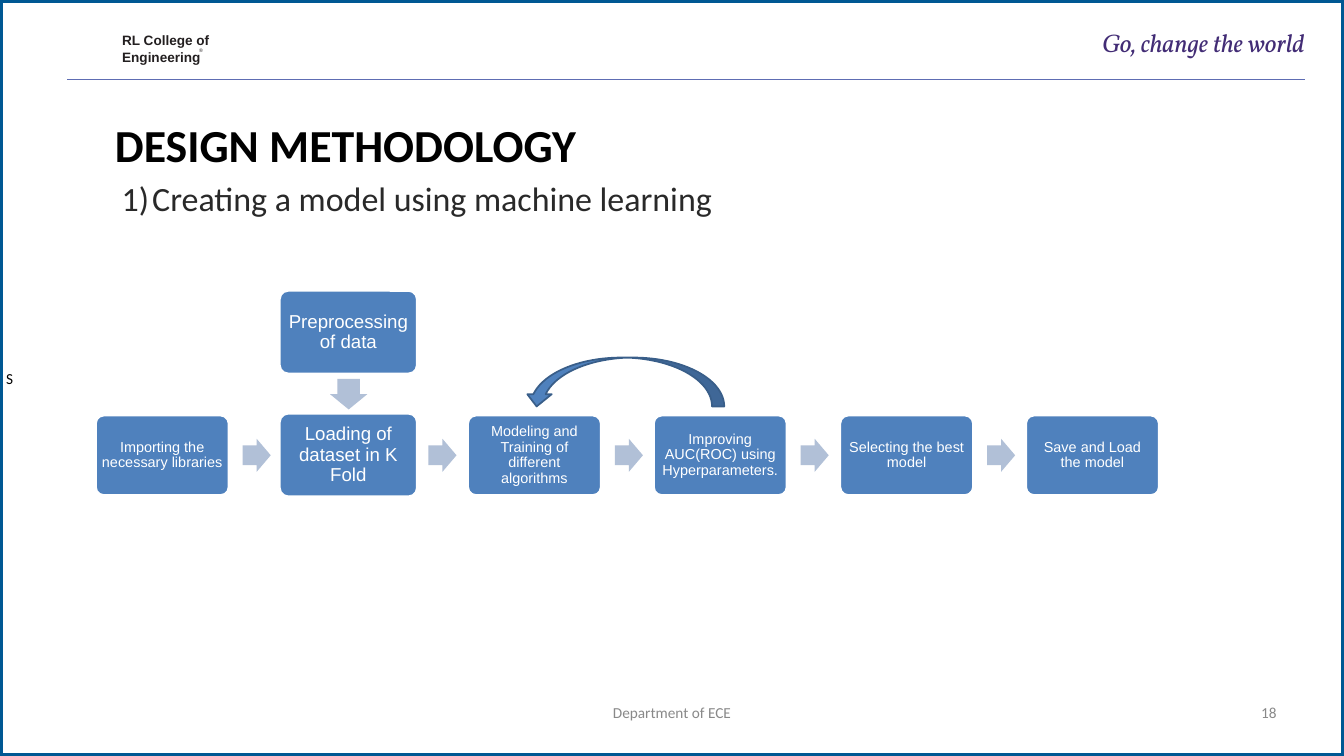
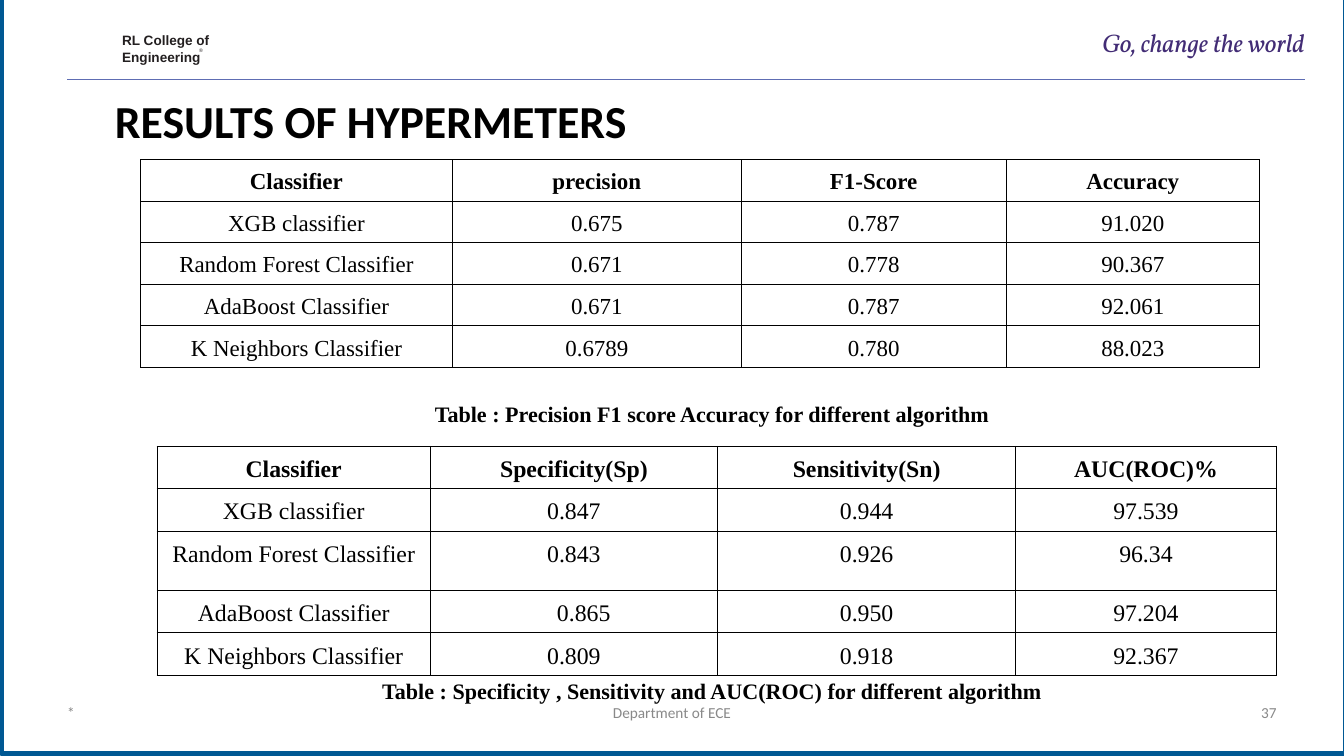
import pptx
import pptx.dml.color
import pptx.enum.shapes
import pptx.enum.text
import pptx.oxml.ns
import pptx.util
import lxml.etree

RGB = pptx.dml.color.RGBColor
FORM = pptx.enum.shapes.MSO_SHAPE
ALIGN = pptx.enum.text.PP_ALIGN
ANCHOR = pptx.enum.text.MSO_ANCHOR

WHITE = RGB(0xFF, 0xFF, 0xFF)
BLACK = RGB(0x00, 0x00, 0x00)
FRAME = RGB(0x00, 0x58, 0x93)
RULE = RGB(0x5E, 0x6D, 0xB3)
INK = RGB(0x23, 0x1F, 0x20)
TEXT = RGB(0x29, 0x29, 0x29)
MOTTO = RGB(0x42, 0x2C, 0x75)
GREY = RGB(0x89, 0x89, 0x89)
BLUE = RGB(0x4F, 0x81, 0xBD)
NAVY = RGB(0x39, 0x5E, 0x89)
PALE = RGB(0xB1, 0xC0, 0xD7)

PX = 9144
WIDE, HIGH = 2199, 1237

HEAD = {"name": "Calibri", "size": 54, "bold": True, "color": BLACK}
SUB = {"name": "Calibri", "size": 40, "color": TEXT}
FOOT = {"name": "Calibri", "size": 18, "color": GREY}
SIDE = {"name": "Calibri", "size": 18, "color": BLACK}
BRAND = {"name": "Arial", "size": 16, "bold": True, "color": INK}
MARK = {"name": "Arial", "size": 6, "color": INK}
SLOGAN = {"name": "Vollkorn", "size": 30, "italic": True, "color": MOTTO}
STEP = {"name": "Arial", "size": 17, "color": WHITE}
STAGE = {"name": "Arial", "size": 22, "color": WHITE}
NOTE = {"name": "Times New Roman", "size": 26, "bold": True, "color": BLACK}

SCORES = [
    ["Classifier", "precision", "F1-Score", "Accuracy"],
    ["XGB classifier", "0.675", "0.787", "91.020"],
    ["Random Forest Classifier", "0.671", "0.778", "90.367"],
    ["AdaBoost Classifier", "0.671", "0.787", "92.061"],
    ["K Neighbors Classifier", "0.6789", "0.780", "88.023"],
]
RATES = [
    ["Classifier", "Specificity(Sp)", "Sensitivity(Sn)", "AUC(ROC)%"],
    ["XGB classifier", "0.847", "0.944", "97.539"],
    ["Random Forest Classifier", "0.843", "0.926", "96.34"],
    ["AdaBoost Classifier", "0.865", "0.950", "97.204"],
    ["K Neighbors Classifier", "0.809", "0.918", "92.367"],
]


def scale(*nums):
    """Turn px into EMU."""
    return [pptx.util.Emu(n * PX) for n in nums]


def apply(item, form):
    """Set attributes from a dict."""
    for key, value in form.items():
        setattr(item, key, value)


def style(font, look):
    """Apply a text look to a font."""
    for key, value in look.items():
        if key == "color":
            font.color.rgb = value
        else:
            setattr(font, key, pptx.util.Pt(value) if key == "size" else value)


def write(frame, lines, look, align=ALIGN.LEFT, anchor=ANCHOR.TOP, pad=(0, 0), space=1.0):
    """Fill a text frame with styled lines."""
    across, down = scale(*pad)
    apply(frame, {
        "word_wrap": True, "auto_size": pptx.enum.text.MSO_AUTO_SIZE.NONE,
        "vertical_anchor": anchor, "margin_left": across, "margin_right": across,
        "margin_top": down, "margin_bottom": down,
    })
    frame.text = "\n".join(lines)
    for para in frame.paragraphs:
        apply(para, {"alignment": align, "line_spacing": space})
        style(para.runs[0].font, look)


def label(slide, box, lines, look, **form):
    """Add a text box."""
    item = slide.shapes.add_textbox(*scale(*box))
    write(item.text_frame, lines, look, **form)
    return item


def draw(slide, kind, box, fill, line=None, width=2, adjust=()):
    """Add a flat preset shape."""
    item = slide.shapes.add_shape(kind, *scale(*box))
    item.shadow.inherit = False
    item.fill.solid()
    item.fill.fore_color.rgb = fill
    if line is None:
        item.line.fill.background()
    else:
        item.line.color.rgb = line
        item.line.width = pptx.util.Pt(width)
    for spot, value in enumerate(adjust):
        item.adjustments[spot] = value
    return item


def header(slide):
    """Add the college name, the motto and the rule."""
    label(slide, (199, 48, 150, 54), ["RL College of", "Engineering"], BRAND,
          pad=(1, 2), space=1.06)
    label(slide, (326, 77, 10, 10), ["®"], MARK)
    label(slide, (1733, 45, 402, 51), ["Go, change the world"], SLOGAN, align=ALIGN.RIGHT)
    rule = slide.shapes.add_connector(
        pptx.enum.shapes.MSO_CONNECTOR.STRAIGHT, *scale(110, 130, 2136, 130))
    rule.line.color.rgb = RULE
    rule.line.width = pptx.util.Pt(1.25)
    props = rule._element.spPr
    lxml.etree.SubElement(props, pptx.oxml.ns.qn("a:effectLst"))


def footer(slide, page, date):
    """Add the date mark, the department and the page number."""
    if date:
        label(slide, (110, 1150, 506, 62), [date], FOOT)
    label(slide, (748, 1150, 703, 62), ["Department of ECE"], FOOT, align=ALIGN.CENTER)
    label(slide, (1583, 1150, 506, 62), [page], FOOT, align=ALIGN.RIGHT)


def base(deck, title, box, page, shift=(0, 0), date=""):
    """Add a slide with the shared frame, header, title and footer."""
    slide = deck.slides.add_slide(deck.slide_layouts[5])
    frame = draw(slide, FORM.RECTANGLE, (*shift, WIDE, HIGH), WHITE, FRAME, 6)
    slide.shapes._spTree.insert(2, frame._element)
    head = slide.shapes.title
    apply(head, dict(zip(("left", "top", "width", "height"), scale(*box))))
    write(head.text_frame, [title], HEAD, pad=(1, 1))
    header(slide)
    footer(slide, page, date)
    return slide, frame


def topic(slide, box, text):
    """Add a numbered line."""
    item = label(slide, box, [text], SUB, pad=(0, 1))
    props = item.text_frame.paragraphs[0]._p.get_or_add_pPr()
    indent = {"marL": 50 * PX, "indent": -50 * PX}
    for key, value in indent.items():
        props.set(key, str(value))
    tint = lxml.etree.SubElement(props, pptx.oxml.ns.qn("a:buClr"))
    lxml.etree.SubElement(tint, pptx.oxml.ns.qn("a:srgbClr"), val=str(TEXT))
    lxml.etree.SubElement(props, pptx.oxml.ns.qn("a:buAutoNum"), type="arabicParenR")


def node(slide, box, text, look):
    """Add one rounded step of the flow."""
    item = draw(slide, FORM.ROUNDED_RECTANGLE, box, BLUE, WHITE, adjust=[0.1])
    write(item.text_frame, [text], look, align=ALIGN.CENTER, anchor=ANCHOR.MIDDLE,
          pad=(6, 6), space=0.9)


def flow(slide, left, top):
    """Draw the row of steps, the side input and the return arrow."""
    steps = ["Importing the necessary libraries", None,
             "Modeling and Training of different algorithms",
             "Improving AUC(ROC) using Hyperparameters.",
             "Selecting the best model", "Save and Load the model"]
    for spot, text in enumerate(steps):
        x = left + spot * 609 // 2
        if text:
            node(slide, (x, top, 217, 130), text, STEP)
        if spot < len(steps) - 1:
            draw(slide, FORM.RIGHT_ARROW, (x + 240, top + 38, 46, 54), PALE,
                 adjust=[0.6, 0.5])
    x = left + 301
    for y, text in ((-204, "Preprocessing of data"), (-3, "Loading of dataset in K Fold")):
        node(slide, (x, top + y, 224, 135), text, STAGE)
    draw(slide, FORM.DOWN_ARROW, (x + 82, top - 60, 61, 50), PALE, adjust=[0.6, 0.5])
    back = draw(slide, FORM.CURVED_UP_ARROW, (left + 701, top - 95, 327, 80), BLUE, NAVY,
                adjust=[0.25, 0.5, 0.25])
    back.rotation = 180


def edge(cell):
    """Give a cell thin black borders."""
    props = cell._tc.get_or_add_tcPr()
    for spot, side in enumerate("LRTB"):
        line = lxml.etree.Element(pptx.oxml.ns.qn("a:ln" + side), w="12700")
        fill = lxml.etree.SubElement(line, pptx.oxml.ns.qn("a:solidFill"))
        lxml.etree.SubElement(fill, pptx.oxml.ns.qn("a:srgbClr"), val=str(BLACK))
        props.insert(spot, line)


def grid(slide, left, top, cols, rows, data, size):
    """Add a bordered table and return it."""
    box = (left, top, sum(cols), sum(rows))
    table = slide.shapes.add_table(len(rows), len(cols), *scale(*box)).table
    apply(table, {"first_row": False, "horz_banding": False})
    for col, width in zip(table.columns, scale(*cols)):
        col.width = width
    for row, height in zip(table.rows, scale(*rows)):
        row.height = height
    across, down = scale(7, 10)
    for r, line in enumerate(data):
        for c, text in enumerate(line):
            cell = table.cell(r, c)
            cell.fill.background()
            edge(cell)
            apply(cell, {"text": text, "margin_left": across, "margin_right": across,
                         "margin_top": down, "margin_bottom": down})
            para = cell.text_frame.paragraphs[0]
            apply(para, {"alignment": ALIGN.CENTER, "line_spacing": 1.15})
            style(para.runs[0].font, {**NOTE, "size": size, "bold": r == 0})
    return table


def method(deck):
    """Build the methodology slide."""
    slide, frame = base(deck, "DESIGN METHODOLOGY", (187, 190, 1120, 92), "18")
    write(frame.text_frame, ["S"], SIDE, anchor=ANCHOR.MIDDLE, pad=(10, 5))
    topic(slide, (199, 289, 1898, 264), "Creating a model using machine learning")
    flow(slide, 157, 680)


def results(deck):
    """Build the results slide."""
    slide, _ = base(deck, "RESULTS OF HYPERMETERS", (187, 150, 1949, 92), "37", (3, -4), "*")
    grid(slide, 230, 261, (510, 473, 433, 415), [68] * 5, SCORES, 27)
    rates = grid(slide, 257, 730, (447, 470, 488, 426), (69, 69, 97, 69, 69), RATES, 28)
    rates.cell(3, 1).margin_left = scale(39)[0]
    notes = {652: "Table : Precision F1 score Accuracy for different algorithm",
             1105: "Table : Specificity , Sensitivity and AUC(ROC) for different algorithm"}
    for top, text in notes.items():
        label(slide, (187, top, 1957, 50), [text], NOTE, align=ALIGN.CENTER,
              anchor=ANCHOR.MIDDLE)


def main():
    """Build and save the deck."""
    deck = pptx.Presentation()
    deck.slide_width, deck.slide_height = scale(WIDE, HIGH)
    method(deck)
    results(deck)
    deck.save("out.pptx")


if __name__ == "__main__":
    main()
